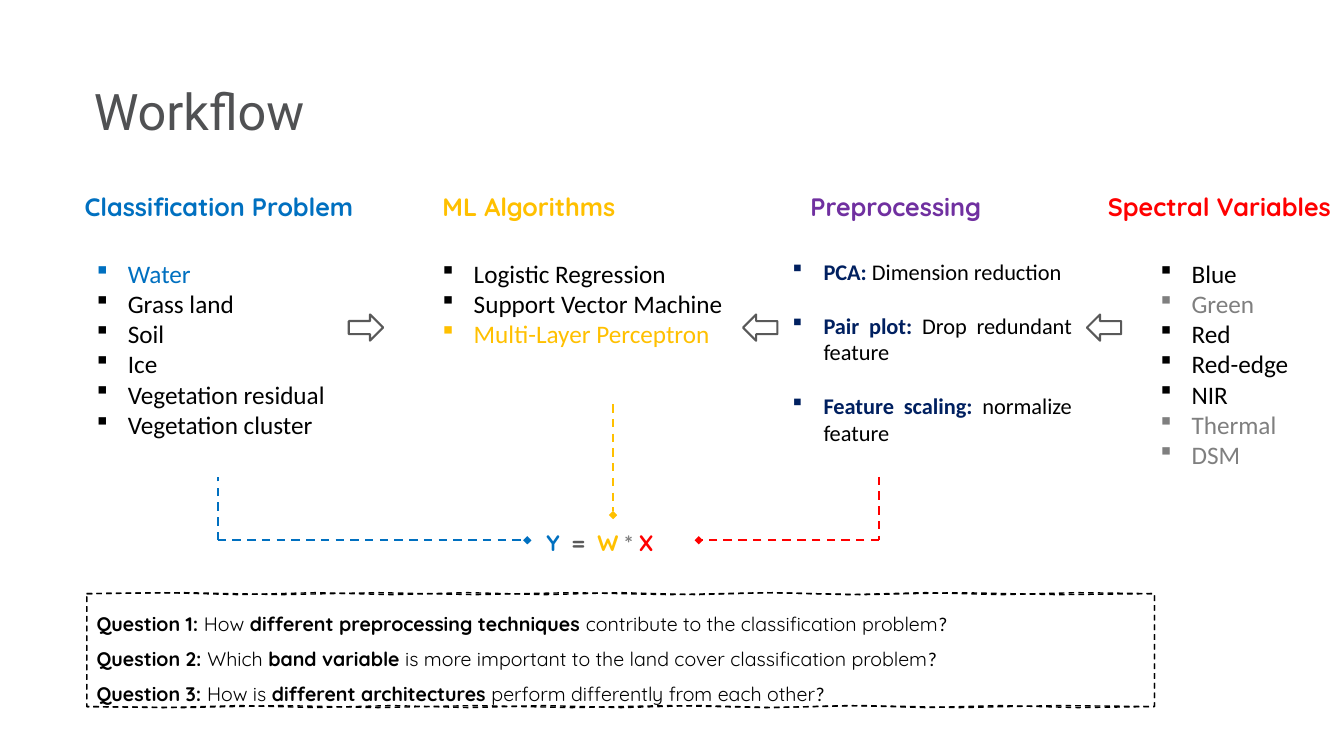
from dataclasses import dataclass

from lxml import etree
from pptx import Presentation
from pptx import util as u
from pptx.dml.color import RGBColor
from pptx.enum import dml, shapes, text
from pptx.oxml import ns


@dataclass(frozen=True)
class Theme:
    title: str = "505153"
    blue: str = "0070C0"
    gold: str = "FFC000"
    red: str = "FF0000"
    purple: str = "7030A0"
    navy: str = "002060"
    black: str = "000000"
    muted: str = "7F7F7F"
    outline: str = "595959"
    title_font: str = "Roboto"
    accent_font: str = "Quicksand"
    body_font: str = "Calibri"
    bullet_font: str = "Wingdings"
    bullet: str = "§"  # the small square of the bullet font
    title_size: int = 36
    heading_size: int = 18
    list_size: int = 18
    detail_size: int = 16
    question_size: int = 14


T = Theme()
PX = 9144  # 100 px to the inch
SLIDE = (1333, 750)

# Content: boxes are (left, top, width, height) in px
TITLE = ("Workflow", (83, 74, 628, 71))
HEADING_TOP, HEADING_HEIGHT, LIST_TOP = 170, 50, 251
HEADINGS = [  # text, colour, left, width
    ("Classification Problem", T.blue, 74, 407),
    ("ML Algorithms", T.gold, 429, 278),
    ("Preprocessing", T.purple, 794, 252),
    ("Spectral Variables", T.red, 1089, 278),
]
LISTS = [  # left, width, height, items, highlighted items
    (86, 278, 192, ["Water", "Grass land", "Soil", "Ice", "Vegetation residual",
                    "Vegetation cluster"], {"Water": T.blue}),
    (429, 315, 101, ["Logistic Regression", "Support Vector Machine",
                     "Multi-Layer Perceptron"], {"Multi-Layer Perceptron": T.gold}),
    (1141, 278, 222, ["Blue", "Green", "Red", "Red-edge", "NIR", "Thermal", "DSM"],
     {"Green": T.muted, "Thermal": T.muted, "DSM": T.muted}),
]
STEPS_BOX = (776, LIST_TOP, 297, 199)
STEPS = [
    ("PCA: ", "Dimension reduction"),
    ("Pair plot: ", "Drop redundant feature"),
    ("Feature scaling: ", "normalize feature"),
]
ARROW_TOP, ARROW_SIZE = 312, (34, 26)
ARROWS = [(346, 0), (737, 180), (1078, 180)]  # left, rotation
EQUATION_BOX, EQUATION_INDENT = (482, 507, 328, 45), 50
EQUATION = [  # text, colour, letter spacing in hundredths of a point
    ("Y ", T.blue, 200), ("= ", T.outline, 200), ("W ", T.gold, 0),
    ("* ", T.muted, 0), ("X", T.red, 0),
]
LINKS = [  # start, end, colour, diamond at the end
    ((872, 536), (693, 536), T.red, True),
    ((608, 401), (608, 511), T.gold, True),
    ((216, 536), (216, 473), T.blue, False),
    ((216, 536), (523, 536), T.blue, True),
    ((872, 473), (872, 536), T.red, False),
]
QUESTION_BOX, QUESTION_INSET = (86, 589, 1059, 112), 7
QUESTIONS = [
    ("Question 1: ", "How ", "different preprocessing techniques ",
     "contribute to the classification problem"),
    ("Question 2: ", "Which ", "band variable ",
     "is more important to the land cover classification problem"),
    ("Question 3: ", "How is ", "different architectures ",
     "perform differently from each other"),
]
SKETCH_STEPS, SKETCH_SWAY = (14, 11), 1.5  # steps along a long edge, one entry per stroke


def emu(*lengths):
    return [u.Emu(round(length * PX)) for length in lengths]


def add_xml(parent, tag, **attributes):
    return etree.SubElement(parent, ns.qn(tag), attributes)


def set_bullet(para, colour):
    props = para._p.get_or_add_pPr()
    props.set("marL", str(31 * PX))
    props.set("indent", str(-31 * PX))
    add_xml(add_xml(props, "a:buClr"), "a:srgbClr", val=colour)
    add_xml(props, "a:buFont", typeface=T.bullet_font, pitchFamily="2", charset="2")
    add_xml(props, "a:buChar", char=T.bullet)


def write(para, spans, size):
    """Each span is (text, colour, font, bold)."""
    for words, colour, font, bold in spans:
        span = para.add_run()
        span.text = words
        span.font.size = u.Pt(size)
        span.font.name = font
        span.font.bold = bold
        span.font.color.rgb = RGBColor.from_string(colour)


def fill_frame(frame, paragraphs, size, align=text.PP_ALIGN.LEFT, spacing=None, bullets=False):
    frame.word_wrap = True
    frame.auto_size = text.MSO_AUTO_SIZE.SHAPE_TO_FIT_TEXT
    frame.vertical_anchor = text.MSO_ANCHOR.TOP
    for index, spans in enumerate(paragraphs):
        para = frame.add_paragraph() if index else frame.paragraphs[0]
        if bullets:
            set_bullet(para, spans[0][1])
        para.alignment = align
        if spacing:
            para.line_spacing = spacing
        write(para, spans, size)
    return frame


def add_text(page, box, *args, **options):
    return fill_frame(page.shapes.add_textbox(*emu(*box)).text_frame, *args, **options)


def set_line(line, colour, width, dashed=False):
    line.color.rgb = RGBColor.from_string(colour)
    line.width = u.Pt(width)
    if dashed:
        line.dash_style = dml.MSO_LINE.DASH


def sketch_edges(box, steps):
    """Corners of the box, its long edges swaying like a hand-drawn line."""
    left, top, width, height = box
    sway = [0] + [SKETCH_SWAY * (-1) ** i for i in range(1, steps)] + [0]
    along = [(left + width * i / steps, dy) for i, dy in enumerate(sway)]
    upper = [(x, top + dy) for x, dy in along]
    lower = [(x, top + height - dy) for x, dy in reversed(along)]
    return upper + lower


def add_sketch_panel(page, box):
    strokes = [sketch_edges(box, steps) for steps in SKETCH_STEPS]
    builder = page.shapes.build_freeform(*strokes[0][0], scale=PX)
    for index, stroke in enumerate(strokes):
        if index:
            builder.move_to(*stroke[0])
        builder.add_line_segments(stroke[1:], close=True)
    panel = builder.convert_to_shape()
    panel.shadow.inherit = False
    panel.fill.background()
    set_line(panel.line, T.black, 1, dashed=True)
    return panel


def main():
    deck = Presentation()
    deck.slide_width, deck.slide_height = emu(*SLIDE)
    page = deck.slides.add_slide(deck.slide_layouts[5])
    justify = text.PP_ALIGN.JUSTIFY

    # Title
    title = page.shapes.title
    title.left, title.top, title.width, title.height = emu(*TITLE[1])
    fill_frame(title.text_frame, [[(TITLE[0], T.title, T.title_font, False)]],
               T.title_size, justify)

    # Column headings
    for words, colour, left, width in HEADINGS:
        add_text(page, (left, HEADING_TOP, width, HEADING_HEIGHT),
                 [[(words, colour, T.accent_font, True)]], T.heading_size, justify, 1.5)

    # Bulleted columns
    for left, width, height, items, accents in LISTS:
        rows = [[(item, accents.get(item, T.black), T.body_font, False)] for item in items]
        add_text(page, (left, LIST_TOP, width, height), rows, T.list_size, bullets=True)
    rows = [[(name, T.navy, T.body_font, True), (detail, T.black, T.body_font, False)]
            for name, detail in STEPS]
    steps = add_text(page, STEPS_BOX, rows, T.detail_size, justify, bullets=True)
    for para in steps.paragraphs[1:]:
        para.space_before = u.Pt(19.2)

    # Block arrows between columns
    for left, rotation in ARROWS:
        arrow = page.shapes.add_shape(shapes.MSO_SHAPE.RIGHT_ARROW,
                                      *emu(left, ARROW_TOP, *ARROW_SIZE))
        arrow.rotation = rotation
        arrow.shadow.inherit = False
        arrow.fill.background()
        set_line(arrow.line, T.outline, 1.5)

    # Equation and the dashed links into it
    spans = [(words, colour, T.accent_font, True) for words, colour, _ in EQUATION]
    equation = add_text(page, EQUATION_BOX, [spans], T.detail_size, justify, 1.5).paragraphs[0]
    equation._p.get_or_add_pPr().set("indent", str(EQUATION_INDENT * PX))
    for span, (_, _, tracking) in zip(equation.runs, EQUATION):
        span._r.get_or_add_rPr().set("spc", str(tracking))
    for start, end, colour, diamond in LINKS:
        link = page.shapes.add_connector(shapes.MSO_CONNECTOR.STRAIGHT, *emu(*start, *end))
        set_line(link.line, colour, 1.5, dashed=True)
        if diamond:
            add_xml(link.line._get_or_add_ln(), "a:tailEnd", type="diamond")
        add_xml(link._element.spPr, "a:effectLst")

    # Research questions
    rows = []
    for parts in QUESTIONS:
        spans = [(part, T.black, T.accent_font, index % 2 == 0)
                 for index, part in enumerate(parts)]
        rows.append(spans + [("?", T.black, T.body_font, False)])
    panel = add_sketch_panel(page, QUESTION_BOX)
    fill_frame(panel.text_frame, rows, T.question_size, spacing=1.5)
    panel.text_frame.margin_top = emu(QUESTION_INSET)[0]

    deck.save("out.pptx")


if __name__ == "__main__":
    main()
